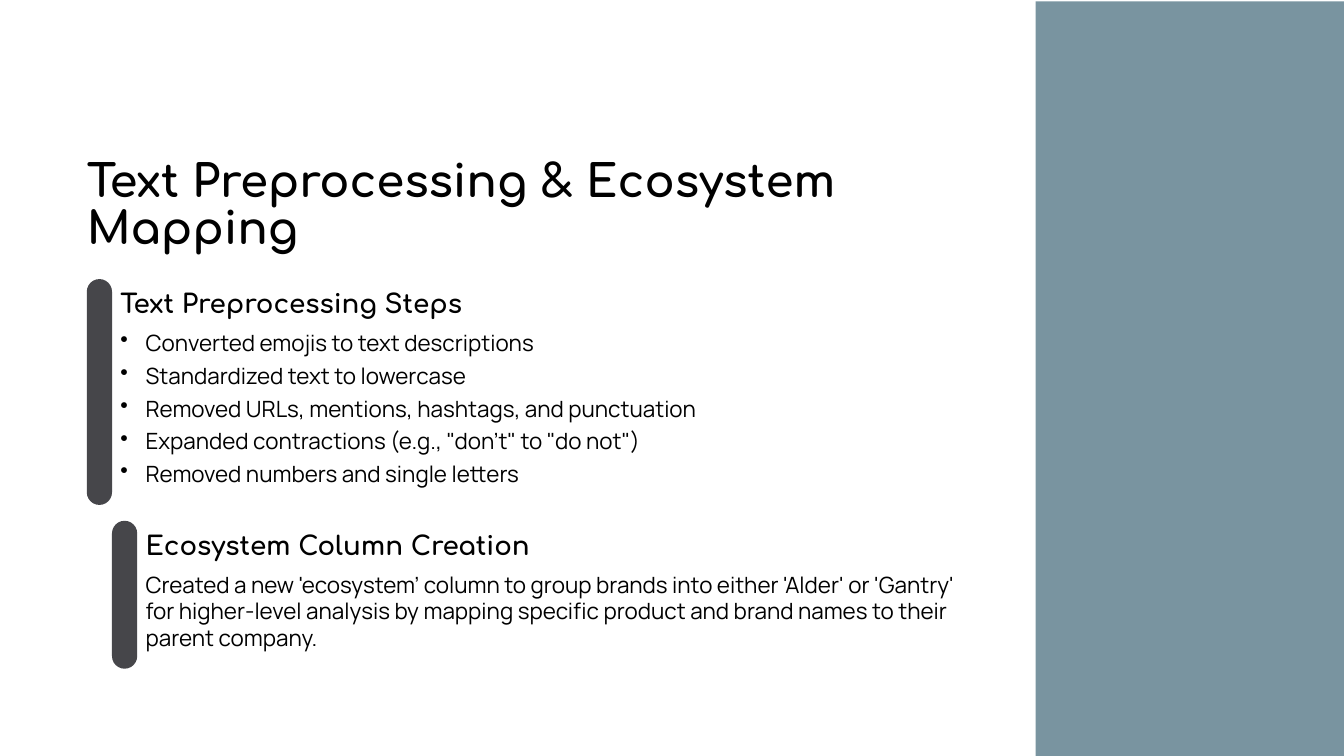
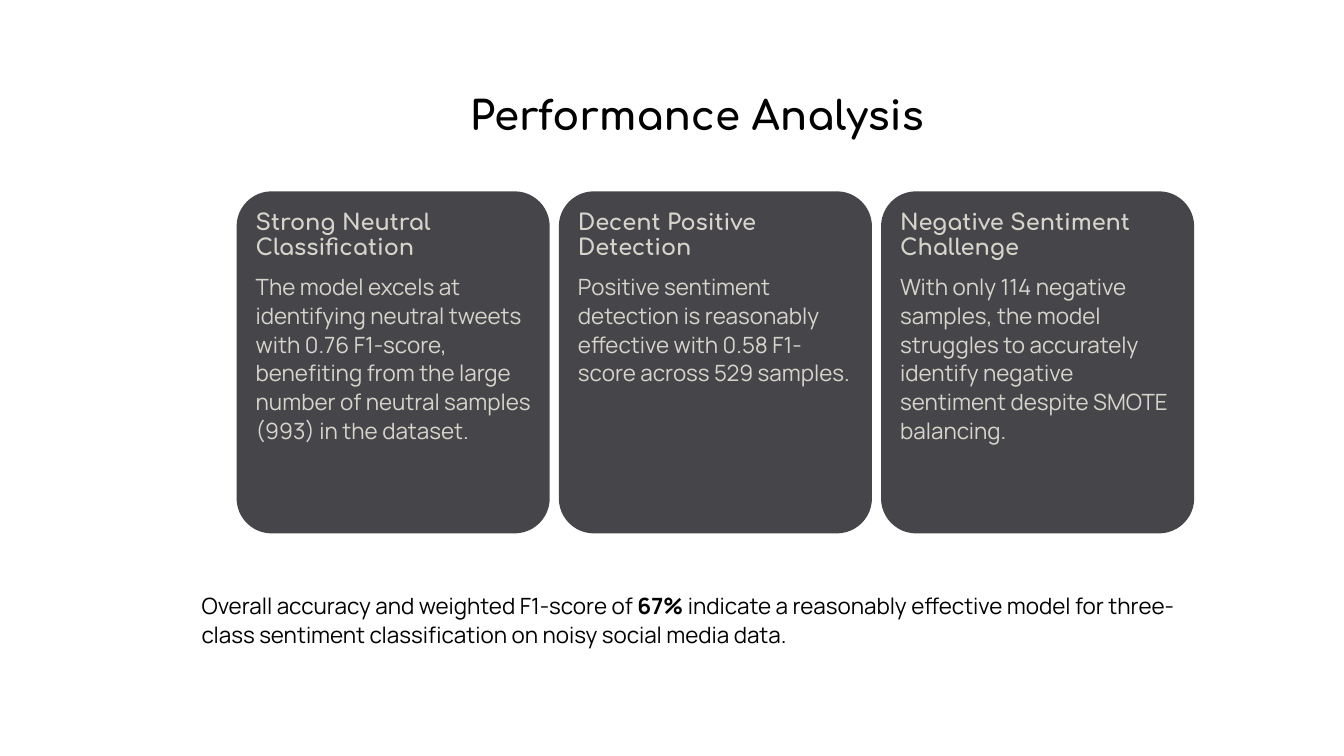
import pptx
import pptx.util
import pptx.dml.color
import pptx.enum.shapes
import pptx.enum.text
import pptx.oxml.ns
from lxml import etree
from dataclasses import dataclass

STEPS = {
    "title": "Text Preprocessing & Ecosystem Mapping",
    "list": ("Text Preprocessing Steps", [
        "Converted emojis to text descriptions",
        "Standardized text to lowercase",
        "Removed URLs, mentions, hashtags, and punctuation",
        "Expanded contractions (e.g., \"don't\" to \"do not\")",
        "Removed numbers and single letters",
    ]),
    "note": ("Ecosystem Column Creation", [
        "Created a new 'ecosystem' column to group brands into either 'Alder' or 'Gantry' "
        "for higher-level analysis by mapping specific product and brand names to their "
        "parent company.",
    ]),
}

SCORES = {
    "title": "Performance Analysis",
    "cards": [
        ("Strong Neutral Classification",
         "The model excels at identifying neutral tweets with 0.76 F1-score, benefiting "
         "from the large number of neutral samples (993) in the dataset."),
        ("Decent Positive Detection",
         "Positive sentiment detection is reasonably effective with 0.58 F1-score across "
         "529 samples."),
        ("Negative Sentiment Challenge",
         "With only 114 negative samples, the model struggles to accurately identify "
         "negative sentiment despite SMOTE balancing."),
    ],
    "close": [
        ("Overall accuracy and weighted F1-score of ", False),
        ("67% ", True),
        ("indicate a reasonably effective model for three-class sentiment classification "
         "on noisy social media data.", False),
    ],
}


@dataclass(frozen=True)
class Style:
    font: str
    size: float
    lead: float
    ink: str
    bold: bool = False


@dataclass(frozen=True)
class Theme:
    wide: float = 1440
    high: float = 810
    panel: str = "7994A0"
    dark: str = "46464A"
    title: Style = Style("Comfortaa", 48, 50, "000000", True)
    head: Style = Style("Comfortaa", 43, 54, "000000", True)
    topic: Style = Style("Comfortaa", 28, 25, "000000", True)
    body: Style = Style("Manrope", 24, 28.5, "000000")
    close: Style = Style("Manrope", 24, 31, "000000")
    label: Style = Style("Comfortaa", 24, 27, "D7D4CC", True)
    card: Style = Style("Manrope", 24, 31, "D7D4CC")


THEME = Theme()
KIND = pptx.enum.shapes.MSO_SHAPE
Pt = pptx.util.Pt


def paint(name):
    return pptx.dml.color.RGBColor.from_string(name)


def block(slide, kind, box, fill, curve=None):
    shape = slide.shapes.add_shape(kind, *map(Pt, box))
    shape.shadow.inherit = False
    shape.fill.solid()
    shape.fill.fore_color.rgb = paint(fill)
    shape.line.fill.background()
    if curve is not None:
        shape.adjustments[0] = curve


def bullet(para, dent):
    props = para._p.get_or_add_pPr()
    props.set("marL", str(Pt(dent)))
    props.set("indent", str(-Pt(dent)))
    mark = etree.SubElement(props, pptx.oxml.ns.qn("a:buChar"))
    mark.set("char", "•")


def write(slide, box, paras, style, wrap=True, dent=0, gap=0):
    frame = slide.shapes.add_textbox(*map(Pt, box)).text_frame
    frame.word_wrap = wrap
    frame.margin_left = frame.margin_right = 0
    frame.margin_top = frame.margin_bottom = 0
    for spot, runs in enumerate(paras):
        para = frame.add_paragraph() if spot else frame.paragraphs[0]
        if dent:
            bullet(para, dent)
        para.alignment = pptx.enum.text.PP_ALIGN.LEFT
        para.line_spacing = Pt(style.lead)
        if spot:
            para.space_before = Pt(gap)
        for text, bold in runs:
            run = para.add_run()
            run.text = text
            run.font.name = style.font
            run.font.size = Pt(style.size)
            run.font.bold = bold
            run.font.color.rgb = paint(style.ink)


def plain(text, style):
    return [(text, style.bold)]


def topic(slide, left, top, high, wide, content, dent=0, gap=0):
    bar, inset, drop = 27, 36, 18
    head, lines = content
    block(slide, KIND.ROUNDED_RECTANGLE, (left, top, bar, high), THEME.dark, 0.5)
    write(slide, (left + inset, top + drop, wide, THEME.topic.lead),
          [plain(head, THEME.topic)], THEME.topic)
    write(slide, (left + inset, top + 3 * drop, wide, high - 4 * drop),
          [plain(line, THEME.body) for line in lines], THEME.body, dent=dent, gap=gap)


def steps(slide):
    left, bar, edge = 93, 27, 1109.5
    block(slide, KIND.RECTANGLE, (edge, 1.5, THEME.wide - edge, THEME.high - 1.5), THEME.panel)
    write(slide, (left, 171.5, 989, 100), [plain(STEPS["title"], THEME.title)], THEME.title)
    topic(slide, left, 299, 242, 929.5, STEPS["list"], dent=27, gap=6.6)
    topic(slide, left + bar, 558, 158.5, 884, STEPS["note"])


def scores(slide):
    left, top, wide, high, gap, pad = 253.5, 205, 335.5, 366.5, 9.75, 20.5
    write(slide, (503.5, 94.5, 489, 54), [plain(SCORES["title"], THEME.head)],
          THEME.head, wrap=False)
    for spot, (label, text) in enumerate(SCORES["cards"]):
        side = left + spot * (wide + gap)
        block(slide, KIND.ROUNDED_RECTANGLE, (side, top, wide, high), THEME.dark, 0.112)
        inner = wide - 2 * pad + 1.5
        write(slide, (side + pad, top + 19.5, inner, 2 * THEME.label.lead),
              [plain(label, THEME.label)], THEME.label)
        write(slide, (side + pad, top + 85, inner, 220), [plain(text, THEME.card)], THEME.card)
    write(slide, (216, 632, 1063.5, 88), [SCORES["close"]], THEME.close)


def main():
    deck = pptx.Presentation()
    deck.slide_width, deck.slide_height = Pt(THEME.wide), Pt(THEME.high)
    for build in (steps, scores):
        build(deck.slides.add_slide(deck.slide_layouts[6]))
    deck.save("out.pptx")


if __name__ == "__main__":
    main()
